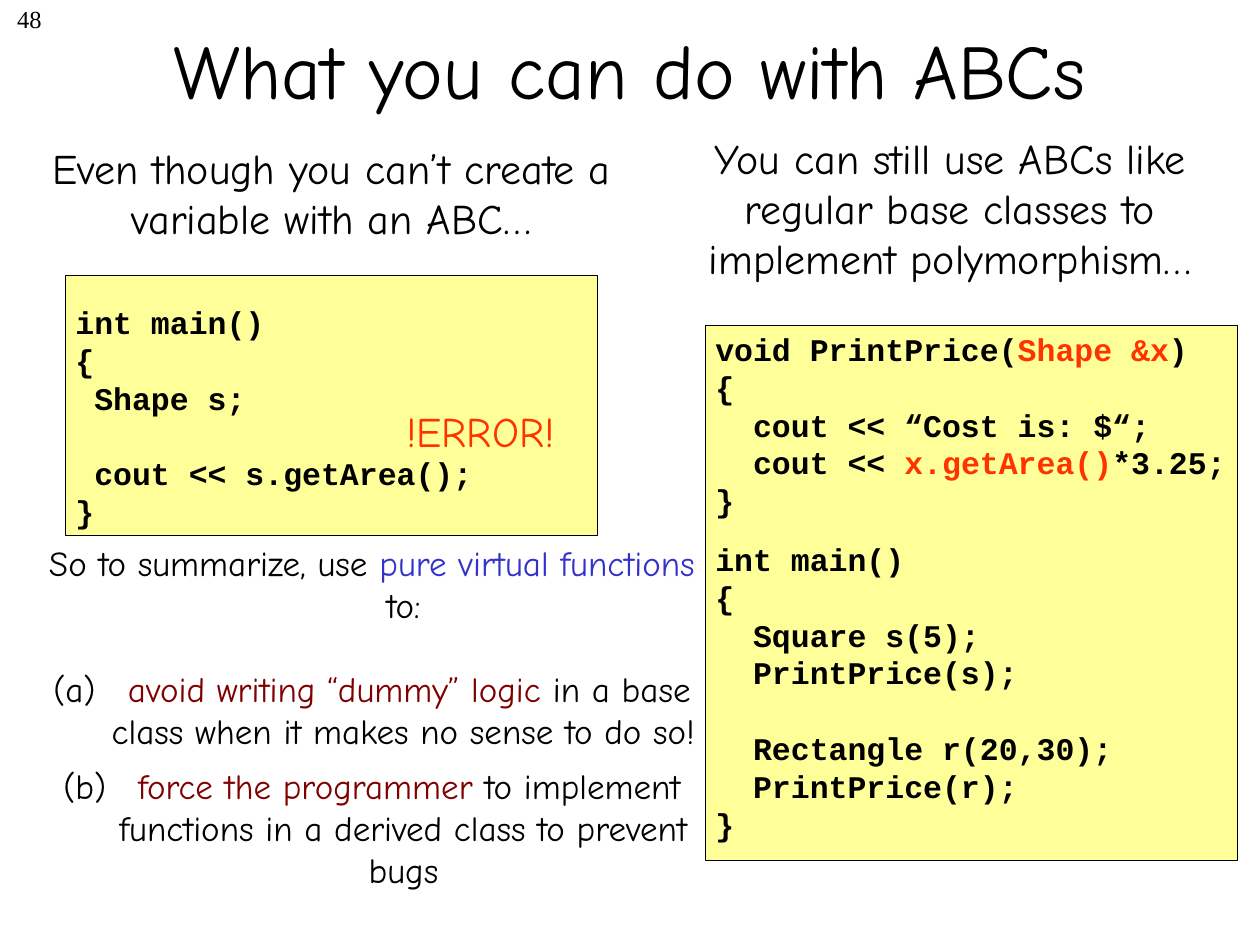
from pptx import Presentation
from pptx.dml.color import RGBColor
from pptx.enum import shapes, text
from pptx.oxml.ns import qn
from pptx.util import Cm, Pt
from lxml import etree

BLACK = RGBColor(0, 0, 0)
RED = RGBColor(0xFF, 0x33, 0x00)
BLUE = RGBColor(0x33, 0x33, 0xCC)
MAROON = RGBColor(0x80, 0, 0)
YELLOW = RGBColor(0xFF, 0xFF, 0x99)
COMIC, MONO, TIMES = "Comic Neue", "Courier New", "Times New Roman"
LEAD = 1.2

LABELS = [
    ("48", (0, -0.05, 1.09, 1.27), TIMES, 14, BLACK, "RIGHT", "TOP", True),
    ("What you can do with ABCs", (1.9, -0.2, 21.6, 3.18),
     COMIC, 44, BLACK, "CENTER", "MIDDLE", True),
    ("Even though you can’t create a variable with an ABC…",
     (0.43, 2.74, 12.5, 2.29), COMIC, 24, BLACK, "CENTER", "TOP", True),
    ("You can still use ABCs like regular base classes to implement polymorphism…",
     (12.9, 2.54, 12.5, 3.3), COMIC, 24, BLACK, "CENTER", "TOP", True),
    ("!ERROR!", (7.82, 8.05, 3.73, 1.27), COMIC, 24, RED, "CENTER", "TOP", False),
]

CODES = [
    ((1.32, 5.54, 10.72, 5.26), (1.27, 5.99, 11.02, 4.8), [
        (0, ["int main()"]),
        (0, ["{"]),
        (0, [" Shape s;"]),
        (21.6, [" cout << s.getArea();"]),
        (0, ["}"]),
    ]),
    ((14.22, 6.55, 10.72, 10.8), (14.17, 6.53, 11.02, 10.6), [
        (0, ["void PrintPrice(", ("Shape &x", RED), ")"]),
        (0, ["{"]),
        (0, ["  cout << “Cost is: $“;"]),
        (0, ["  cout << ", ("x.getArea()", RED), "*3.25;"]),
        (0, ["}"]),
        (12, ["int main()"]),
        (0, ["{"]),
        (0, ["  Square s(5);"]),
        (0, ["  PrintPrice(s);"]),
        (21.6, ["  Rectangle r(20,30);"]),
        (0, ["  PrintPrice(r);"]),
        (0, ["}"]),
    ]),
]

SUMMARY = [
    (0, ["So to summarize, use ", ("pure virtual functions", BLUE), " to:"]),
    (24, [" ", ("avoid writing “dummy” logic", MAROON),
          " in a base class when it makes no sense to do so!"]),
    (7.2, [" ", ("force the programmer", MAROON),
           " to implement functions in a derived class to prevent bugs"]),
]


def add_box(slide, area, lines, font, size, color=BLACK, align="LEFT",
            anchor="TOP", wrap=True, bold=False):
    box = slide.shapes.add_textbox(*map(Cm, area))
    frame = box.text_frame
    frame.word_wrap = wrap
    frame.vertical_anchor = getattr(text.MSO_ANCHOR, anchor)
    for i, (gap, runs) in enumerate(lines):
        para = frame.add_paragraph() if i else frame.paragraphs[0]
        para.alignment = getattr(text.PP_ALIGN, align)
        para.line_spacing = Pt(size * LEAD)
        if gap:
            para.space_before = Pt(gap)
        for part in runs:
            words, tint = (part, color) if isinstance(part, str) else part
            run = para.add_run()
            run.text = words
            run.font.name = font
            run.font.size = Pt(size)
            run.font.bold = bold
            run.font.color.rgb = tint
    return frame


def add_panel(slide, area):
    panel = slide.shapes.add_shape(shapes.MSO_SHAPE.RECTANGLE, *map(Cm, area))
    panel.shadow.inherit = False
    panel.fill.solid()
    panel.fill.fore_color.rgb = YELLOW
    panel.line.color.rgb = BLACK
    panel.line.width = Pt(0.25)


def add_marks(frame):
    for i, para in enumerate(frame.paragraphs):
        props = para._p.get_or_add_pPr()
        props.set("marL", str(Cm(1.27)))
        props.set("indent", str(Cm(-1.27)))
        if i:
            mark = etree.SubElement(props, qn("a:buAutoNum"))
            mark.set("type", "alphaLcParenBoth")


def main():
    deck = Presentation()
    deck.slide_width, deck.slide_height = Cm(25.4), Cm(19.05)
    slide = deck.slides.add_slide(deck.slide_layouts[6])
    for area, inner, lines in CODES:
        add_panel(slide, area)
        add_box(slide, inner, lines, MONO, 18, bold=True)
    for words, area, *style in LABELS:
        add_box(slide, area, [(0, [words])], *style)
    add_marks(add_box(slide, (0.64, 10.8, 13.72, 8.2), SUMMARY, COMIC, 20,
                      align="CENTER"))
    deck.save("out.pptx")


if __name__ == "__main__":
    main()
